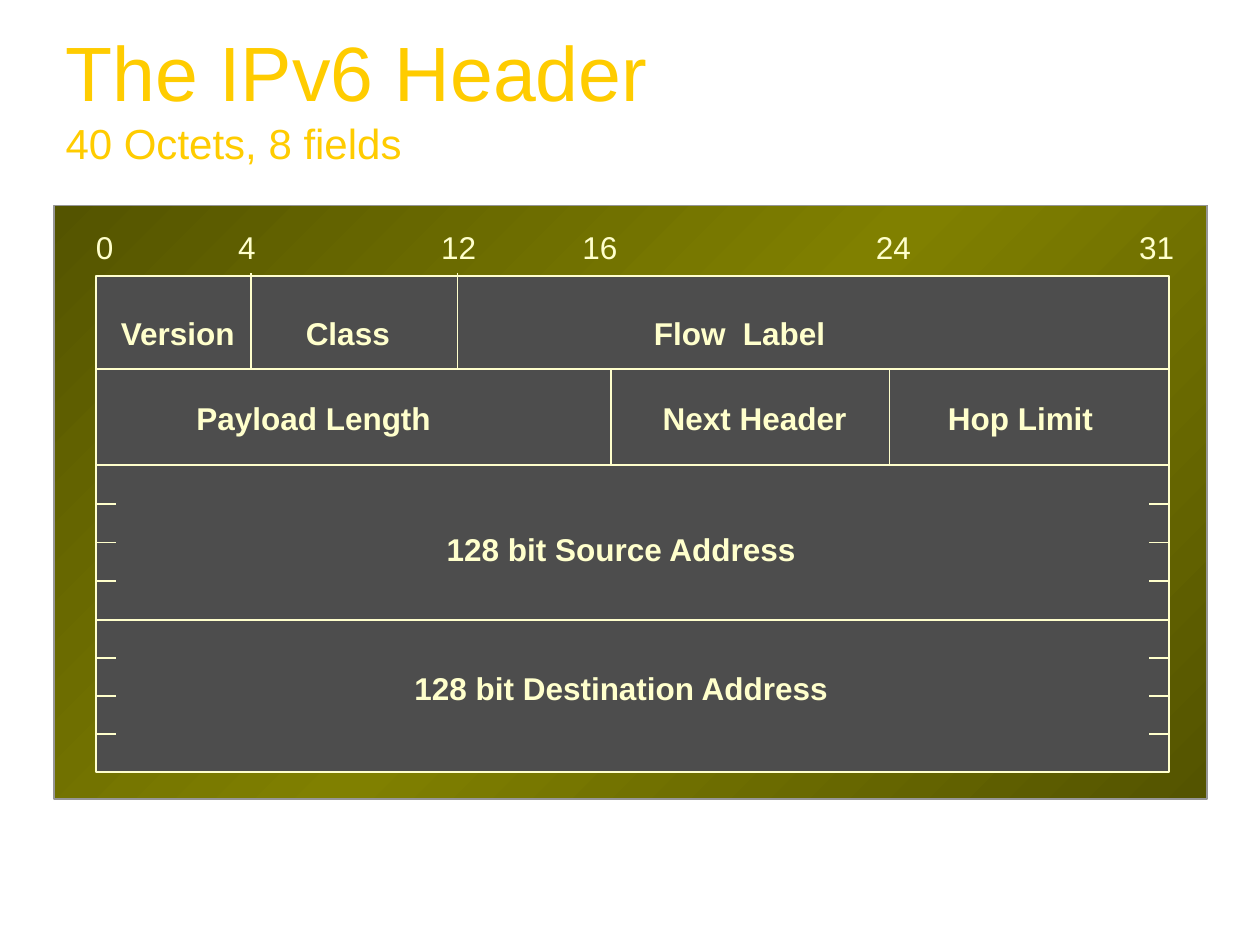
from copy import deepcopy

from lxml.etree import SubElement
from pptx import Presentation
from pptx.dml.color import RGBColor
from pptx.enum.shapes import MSO_CONNECTOR, MSO_SHAPE
from pptx.enum.text import MSO_ANCHOR, MSO_AUTO_SIZE, PP_ALIGN
from pptx.oxml.ns import qn
from pptx.util import Inches, Pt

COLORS = {
    "title": "FFCC00",
    "ink": "FFFFCC",
    "field": "4D4D4D",
    "panel_edge": "545400",
    "panel_middle": "808000",
    "panel_line": "969696",
}
LEFT, RIGHT = 0.76, 9.28
ROWS = [2.19, 2.93, 3.69, 4.92, 6.13]
TICK = 0.16

BIT_LABELS = [("0", 0.83), ("4", 1.96), ("12", 3.64), ("16", 4.76),
              ("24", 7.09), ("31", 9.18)]
# Field name, centre, top, box width
FIELDS = [
    ("Version", 1.41, 2.44, 1.12),
    ("Class", 2.76, 2.44, 1.62),
    ("Flow  Label", 5.87, 2.44, 1.56),
    ("Payload Length", 2.49, 3.12, 2.06),
    ("Next Header", 5.99, 3.12, 1.66),
    ("Hop Limit", 8.1, 3.12, 1.36),
    ("128 bit Source Address", 4.93, 4.16, 2.98),
    ("128 bit Destination Address", 4.93, 5.26, 3.49),
]
# Horizontal position, top, bottom
DIVIDERS = [(1.99, 2.17, ROWS[1]), (3.63, 2.17, ROWS[1]),
            (4.85, ROWS[1], ROWS[2]), (7.06, ROWS[1], ROWS[2])]


def rgb(name):
    return RGBColor.from_string(COLORS[name])


class HeaderSlide:
    def __init__(self, slide):
        self.slide = slide
        self.font_name = "Arial"
        self.line_width = Pt(1)

    def format_font(self, font, color, **values):
        for name, value in {"name": self.font_name, **values}.items():
            setattr(font, name, value)
        font.color.rgb = rgb(color)

    def title(self, heading, subtitle):
        shape = self.slide.shapes.title
        box = {"left": 0.42, "top": 0.14, "width": 9.37, "height": 1.24}
        for name, value in box.items():
            setattr(shape, name, Inches(value))
        frame = shape.text_frame
        frame.auto_size = MSO_AUTO_SIZE.NONE
        frame.vertical_anchor = MSO_ANCHOR.BOTTOM
        paragraph = frame.paragraphs[0]
        paragraph.alignment = PP_ALIGN.LEFT
        for text, size in ((heading, 44), (subtitle, 24)):
            if paragraph.runs:
                paragraph.add_line_break()
            run = paragraph.add_run()
            run.text = text
            self.format_font(run.font, "title", size=Pt(size), bold=False)

    def rectangle(self, left, top, width, height, line):
        shape = self.slide.shapes.add_shape(
            MSO_SHAPE.RECTANGLE, *map(Inches, (left, top, width, height)))
        shape.shadow.inherit = False
        shape.line.color.rgb = rgb(line)
        shape.line.width = self.line_width
        return shape

    def panel(self, left, top, width, height):
        """Draw the backdrop with a diagonal dark-bright-dark gradient."""
        shape = self.rectangle(left, top, width, height, "panel_line")
        shape.fill.gradient()
        shape.fill.gradient_angle = 315
        stop_list = shape._element.spPr.find(qn("a:gradFill")).find(qn("a:gsLst"))
        stop_list.insert(1, deepcopy(stop_list[0]))
        names = ("panel_edge", "panel_middle", "panel_edge")
        for index, (stop, name) in enumerate(zip(shape.fill.gradient_stops, names)):
            stop.position = index / 2
            stop.color.rgb = rgb(name)

    def field_block(self, left, top, width, height):
        shape = self.rectangle(left, top, width, height, "ink")
        shape.fill.solid()
        shape.fill.fore_color.rgb = rgb("field")

    def line(self, x1, y1, x2, y2):
        connector = self.slide.shapes.add_connector(
            MSO_CONNECTOR.STRAIGHT, *map(Inches, (x1, y1, x2, y2)))
        connector.line.color.rgb = rgb("ink")
        connector.line.width = self.line_width
        SubElement(connector._element.spPr, qn("a:effectLst"))

    def label(self, text, center, top, width, bold=False):
        shape = self.slide.shapes.add_textbox(
            *map(Inches, (center - width / 2, top, width, 0.4)))
        frame = shape.text_frame
        frame.word_wrap = False
        paragraph = frame.paragraphs[0]
        paragraph.alignment = PP_ALIGN.CENTER
        run = paragraph.add_run()
        run.text = text
        self.format_font(run.font, "ink", size=Pt(18), bold=bold)


def main():
    presentation = Presentation()
    presentation.slide_width = Inches(10)
    presentation.slide_height = Inches(7.5)
    header = HeaderSlide(presentation.slides.add_slide(presentation.slide_layouts[5]))

    header.title("The IPv6 Header", "40 Octets, 8 fields")
    header.panel(0.43, 1.63, 9.15, 4.71)
    header.field_block(LEFT, ROWS[0], RIGHT - LEFT, ROWS[-1] - ROWS[0])

    for y in ROWS[1:-1]:
        header.line(LEFT, y, RIGHT, y)
    for x, top, bottom in DIVIDERS:
        header.line(x, top, x, bottom)
    # Ticks split each address into four 32-bit words
    for top, bottom in zip(ROWS[2:], ROWS[3:]):
        for word in range(1, 4):
            y = top + word * (bottom - top) / 4
            for x in (LEFT, RIGHT - TICK):
                header.line(x, y, x + TICK, y)

    for text, center in BIT_LABELS:
        header.label(text, center, 1.76, 0.48)
    for field in FIELDS:
        header.label(*field, bold=True)

    presentation.save("out.pptx")


if __name__ == "__main__":
    main()
